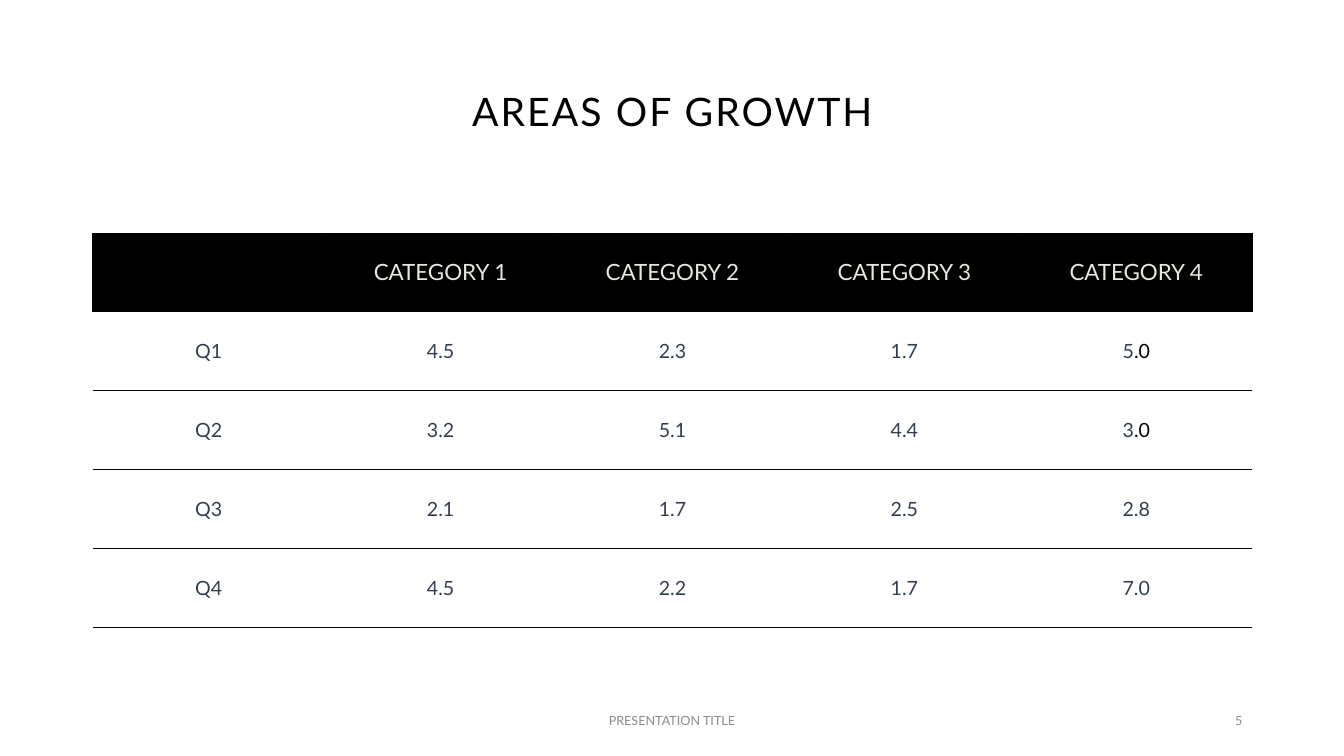
from lxml import etree
from pptx import Presentation
from pptx.dml.color import RGBColor
from pptx.enum.text import MSO_ANCHOR, PP_ALIGN
from pptx.oxml.ns import qn
from pptx.util import Inches, Pt

CENTER, RIGHT, MIDDLE = PP_ALIGN.CENTER, PP_ALIGN.RIGHT, MSO_ANCHOR.MIDDLE

# Content: a tuple in a cell is a number followed by its black decimals
TITLE = "AREAS OF GROWTH"
FOOTER = "PRESENTATION TITLE"
PAGE_NUMBER = "5"
GROWTH = [
    ["", "CATEGORY 1", "CATEGORY 2", "CATEGORY 3", "CATEGORY 4"],
    ["Q1", "4.5", "2.3", "1.7", ("5", ".0")],
    ["Q2", "3.2", "5.1", "4.4", ("3", ".0")],
    ["Q3", "2.1", "1.7", "2.5", "2.8"],
    ["Q4", "4.5", "2.2", "1.7", "7.0"],
]

# Look
FONT = "Lato"
BLACK, CREAM, SLATE, GREY = "000000", "E9E6DF", "333F50", "8C8C8C"
RULE_WIDTH = 0.5

# Layout in inches
SLIDE_W, SLIDE_H = 13.33, 7.5
MARGIN = 0.92
CONTENT_W = 11.5
TABLE_TOP, ROW_H = 2.31, 0.782
FOOTER_TOP, FOOTER_H = 6.95, 0.4
FOOTER_W, PAGE_W = 4.5, 3


def color(hex_code):
    return RGBColor.from_string(hex_code)


def style(paragraph, size, hex_code, align=CENTER):
    paragraph.alignment = align
    font = paragraph.font
    font.name, font.size, font.bold = FONT, Pt(size), False
    font.color.rgb = color(hex_code)


def add_text(slide, text, left, top, width, height, size, hex_code, align=CENTER):
    frame = slide.shapes.add_textbox(
        Inches(left), Inches(top), Inches(width), Inches(height)).text_frame
    frame.word_wrap = True
    frame.vertical_anchor = MIDDLE
    paragraph = frame.paragraphs[0]
    paragraph.text = text
    style(paragraph, size, hex_code, align)
    return paragraph


def set_borders(cell, ruled_sides):
    properties = cell._tc.get_or_add_tcPr()
    for side in "LRTB":
        line = etree.SubElement(properties, qn(f"a:ln{side}"), w=str(Pt(RULE_WIDTH)))
        if side in ruled_sides:
            fill = etree.SubElement(line, qn("a:solidFill"))
            etree.SubElement(fill, qn("a:srgbClr"), val=BLACK)
        else:
            etree.SubElement(line, qn("a:noFill"))


def fill_cell(cell, value, is_header):
    set_borders(cell, "LRTB" if is_header else "TB")
    if is_header:
        cell.fill.solid()
        cell.fill.fore_color.rgb = color(BLACK)
    else:
        cell.fill.background()
    cell.vertical_anchor = MIDDLE
    paragraph = cell.text_frame.paragraphs[0]
    style(paragraph, 16 if is_header else 14, CREAM if is_header else SLATE)
    number, decimals = value if isinstance(value, tuple) else (value, "")
    if number:
        paragraph.add_run().text = number
    if decimals:
        run = paragraph.add_run()
        run.text = decimals
        run.font.color.rgb = color(BLACK)


def add_growth_table(slide):
    row_count, column_count = len(GROWTH), len(GROWTH[0])
    table = slide.shapes.add_table(
        row_count, column_count, Inches(MARGIN), Inches(TABLE_TOP),
        Inches(CONTENT_W), Inches(ROW_H * row_count)).table
    table.horz_banding = False
    for r, values in enumerate(GROWTH):
        for c, value in enumerate(values):
            fill_cell(table.cell(r, c), value, is_header=r == 0)


def main():
    deck = Presentation()
    deck.slide_width, deck.slide_height = Inches(SLIDE_W), Inches(SLIDE_H)
    slide = deck.slides.add_slide(deck.slide_layouts[6])

    # Title with wide letter spacing
    title = add_text(slide, TITLE, MARGIN, 0.4, CONTENT_W, 1.45, 28, BLACK)
    title.line_spacing = 0.9
    title.runs[0].font._element.set("spc", "150")

    add_growth_table(slide)

    # Footer and page number
    add_text(slide, FOOTER, (SLIDE_W - FOOTER_W) / 2, FOOTER_TOP,
             FOOTER_W, FOOTER_H, 9, GREY)
    add_text(slide, PAGE_NUMBER, MARGIN + CONTENT_W - PAGE_W, FOOTER_TOP,
             PAGE_W, FOOTER_H, 9, GREY, RIGHT)

    deck.save("out.pptx")


if __name__ == "__main__":
    main()
